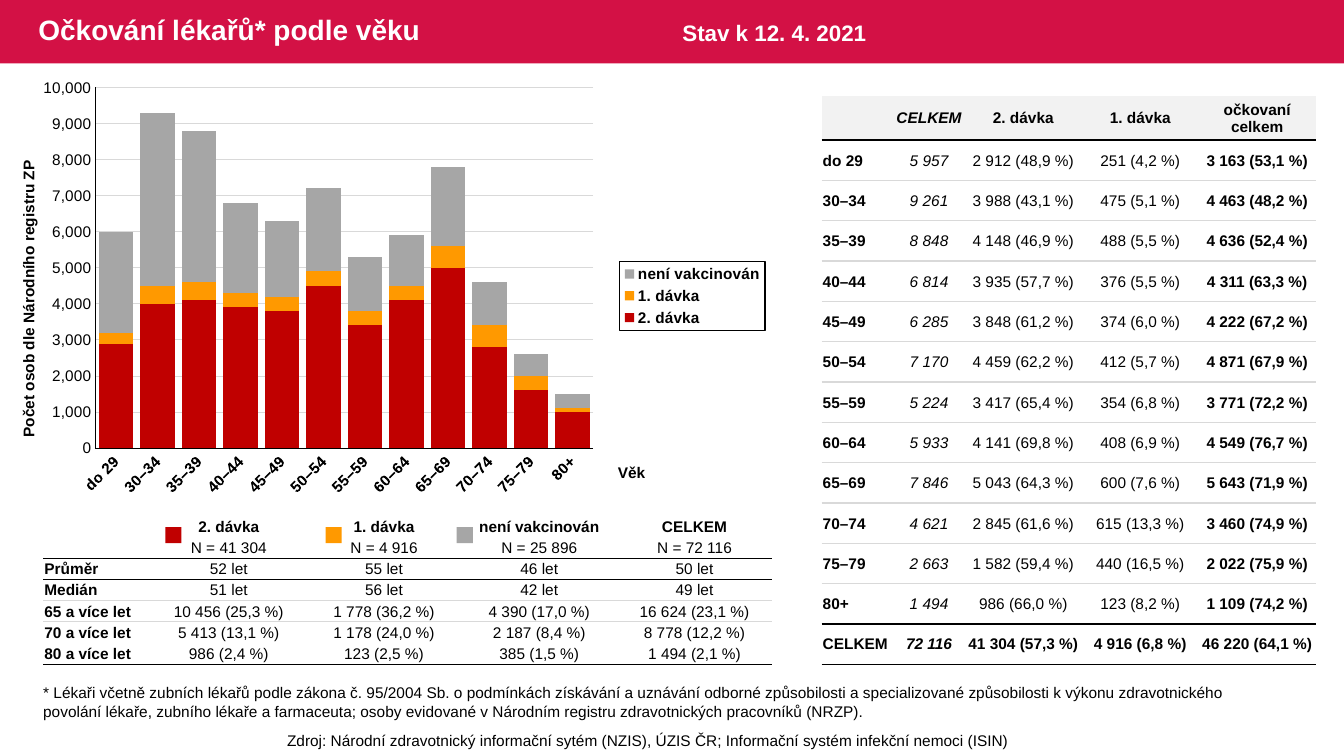
"""Build the slide on vaccination of physicians by age group."""
from dataclasses import dataclass

from lxml import etree
from pptx import Presentation
from pptx.chart.data import CategoryChartData
from pptx.dml.color import RGBColor
from pptx.enum.chart import XL_CHART_TYPE, XL_LEGEND_POSITION, XL_TICK_MARK
from pptx.enum.shapes import MSO_SHAPE
from pptx.enum.text import MSO_ANCHOR, PP_ALIGN
from pptx.oxml import parse_xml
from pptx.oxml.ns import nsdecls, qn
from pptx.util import Inches, Pt


@dataclass(frozen=True)
class Theme:
    font: str = "Arial"
    title: int = 20
    status: int = 16
    body: int = 11
    band: str = "D31145"
    white: str = "FFFFFF"
    black: str = "000000"
    rule: str = "D9D9D9"
    header: str = "F2F2F2"
    second_dose: str = "C00000"
    first_dose: str = "FF9900"
    unvaccinated: str = "A6A6A6"


theme = Theme()


def style(font, size=theme.body, color=theme.black, bold=False, italic=False):
    font.name, font.size = theme.font, Pt(size)
    font.bold, font.italic = bold, italic
    font.color.rgb = RGBColor.from_string(color)


def add_grid(place, widths, heights, rows, rules, bold_rows, bold_columns, italic_columns=()):
    frame = slide.shapes.add_table(len(rows), len(widths), *map(Inches, place))
    grid = frame.table
    grid.first_row = grid.horz_banding = False
    grid._tbl.tblPr.find(qn("a:tableStyleId")).text = "{2D5ABB26-0587-4C30-8999-92F81FD0307C}"
    for column, width in zip(grid.columns, widths):
        column.width = Inches(width)
    for r, (row, height) in enumerate(zip(rows, heights)):
        grid.rows[r].height = Inches(height)
        for c, words in enumerate(row.split("|")):
            cell = grid.cell(r, c)
            cell.margin_left = cell.margin_top = cell.margin_right = Inches(0.01)
            cell.margin_bottom = 0
            cell.vertical_anchor = MSO_ANCHOR.MIDDLE
            paragraph = cell.text_frame.paragraphs[0]
            paragraph.text = words
            paragraph.alignment = PP_ALIGN.CENTER if c else PP_ALIGN.LEFT
            for run in paragraph.runs:
                style(run.font, bold=r in bold_rows or c in bold_columns, italic=c in italic_columns)
            if not words:
                paragraph._p.get_or_add_endParaRPr().set("sz", str(theme.body * 100))
            for side, edge in (("lnT", r), ("lnB", r + 1)):
                if edge in rules:
                    cell._tc.get_or_add_tcPr().append(parse_xml(
                        f'<a:{side} {nsdecls("a")} w="12700"><a:solidFill>'
                        f'<a:srgbClr val="{rules[edge]}"/></a:solidFill></a:{side}>'))
            cell.fill.background()
    return grid


prs = Presentation()
prs.slide_width, prs.slide_height = Inches(13.33), Inches(7.5)
slide = prs.slides.add_slide(prs.slide_layouts[5])

title = slide.shapes.title
title.left, title.top, title.width, title.height = map(Inches, (0.28, 0, 8.13, 0.63))
title.text_frame.text = "Očkování lékařů* podle věku"
title.text_frame.vertical_anchor = MSO_ANCHOR.MIDDLE
heading = title.text_frame.paragraphs[0]
heading.alignment, heading.line_spacing = PP_ALIGN.LEFT, 0.9
style(heading.runs[0].font, theme.title, theme.white, bold=True)

age_groups = ["do 29", "30–34", "35–39", "40–44", "45–49", "50–54",
              "55–59", "60–64", "65–69", "70–74", "75–79", "80+"]
doses = [
    ("2. dávka", theme.second_dose,
     (2900, 4000, 4100, 3900, 3800, 4500, 3400, 4100, 5000, 2800, 1600, 1000)),
    ("1. dávka", theme.first_dose,
     (300, 500, 500, 400, 400, 400, 400, 400, 600, 600, 400, 100)),
    ("není vakcinován", theme.unvaccinated,
     (2800, 4800, 4200, 2500, 2100, 2300, 1500, 1400, 2200, 1200, 600, 400)),
]
counts = CategoryChartData(number_format="#,##0")
counts.categories = age_groups
for name, _, values in doses:
    counts.add_series(name, values)
chart = slide.shapes.add_chart(XL_CHART_TYPE.COLUMN_STACKED, Inches(0.43), Inches(0.75),
                               Inches(7.24), Inches(4.37), counts).chart
chart.has_title = False
style(chart.font, bold=True)
bars = chart.plots[0]
bars.gap_width, bars.overlap, bars.vary_by_categories = 20, 100, False
for series, (_, color, _) in zip(bars.series, doses):
    series.format.fill.solid()
    series.format.fill.fore_color.rgb = RGBColor.from_string(color)

ages, people = chart.category_axis, chart.value_axis
for axis in (ages, people):
    axis.major_tick_mark = axis.minor_tick_mark = XL_TICK_MARK.NONE
    axis.format.line.color.rgb = RGBColor.from_string(theme.black)
    axis.format.line.width = Pt(0.75)
    style(axis.tick_labels.font, bold=axis is ages)
ages._element.find(qn("c:txPr")).find(qn("a:bodyPr")).set("rot", "-2700000")
people.minimum_scale, people.maximum_scale, people.major_unit = 0, 10000, 1000
people.tick_labels.number_format = "#,##0"
people.tick_labels.number_format_is_linked = False
people.major_gridlines.format.line.color.rgb = RGBColor.from_string(theme.rule)
people.major_gridlines.format.line.width = Pt(0.75)

chart.has_legend = True
chart.legend.position = XL_LEGEND_POSITION.RIGHT
chart.legend.include_in_layout = False
style(chart.legend.font, bold=True)
chart.legend._element.find(qn("c:txPr")).addprevious(parse_xml(
    f'<c:spPr {nsdecls("c", "a")}><a:ln w="9525"><a:solidFill>'
    f'<a:srgbClr val="{theme.black}"/></a:solidFill></a:ln></c:spPr>'))

plot_area = chart._chartSpace.chart.plotArea
for old_layout in plot_area.findall(qn("c:layout")):
    plot_area.remove(old_layout)
layout = etree.Element(qn("c:layout"))
manual = etree.SubElement(layout, qn("c:manualLayout"))
for tag, value in (("layoutTarget", "inner"), ("xMode", "edge"), ("yMode", "edge"),
                   ("x", "0.066"), ("y", "0.027"), ("w", "0.686"), ("h", "0.819")):
    etree.SubElement(manual, qn(f"c:{tag}")).set("val", value)
plot_area.insert(0, layout)

captions = [
    ("Zdroj: Národní zdravotnický informační sytém (NZIS), ÚZIS ČR; "
     "Informační systém infekční nemoci (ISIN)",
     (1.9, 7.2, 9.06, 0.29), PP_ALIGN.CENTER, True, 0, {}),
    ("Stav k 12. 4. 2021", (6.67, 0.14, 2.2, 0.37), PP_ALIGN.LEFT, True, 0,
     {"size": theme.status, "color": theme.white, "bold": True}),
    ("* Lékaři včetně zubních lékařů podle zákona č. 95/2004 Sb. o podmínkách získávání a "
     "uznávání odborné způsobilosti a specializované způsobilosti k výkonu zdravotnického "
     "povolání lékaře, zubního lékaře a farmaceuta; osoby evidované v Národním registru "
     "zdravotnických pracovníků (NRZP).",
     (0.33, 6.73, 12.53, 0.47), PP_ALIGN.LEFT, True, 0, {}),
    ("Počet osob dle Národního registru ZP",
     (-1.2, 2.81, 2.97, 0.29), PP_ALIGN.LEFT, False, 270, {"bold": True}),
    ("Věk", (6.03, 4.55, 0.48, 0.29), PP_ALIGN.LEFT, False, 0, {"bold": True}),
]
for words, place, alignment, wraps, rotation, look in captions:
    caption = slide.shapes.add_textbox(*map(Inches, place))
    caption.rotation = rotation
    caption.text_frame.word_wrap = wraps
    caption.text_frame.text = words
    caption.text_frame.paragraphs[0].alignment = alignment
    style(caption.text_frame.paragraphs[0].runs[0].font, **look)

add_grid((0.43, 5.12, 7.24, 1.46), [1.07] + [1.54] * 4, [0.21] * 7, [
    "|2. dávka|1. dávka|není vakcinován|CELKEM",
    "|N = 41 304|N = 4 916|N = 25 896|N = 72 116",
    "Průměr|52 let|55 let|46 let|50 let",
    "Medián|51 let|56 let|42 let|49 let",
    "65 a více let|10 456 (25,3 %)|1 778 (36,2 %)|4 390 (17,0 %)|16 624 (23,1 %)",
    "70 a více let|5 413 (13,1 %)|1 178 (24,0 %)|2 187 (8,4 %)|8 778 (12,2 %)",
    "80 a více let|986 (2,4 %)|123 (2,5 %)|385 (1,5 %)|1 494 (2,1 %)",
], {2: theme.black, 4: theme.rule, 7: theme.black}, {0}, {0})

coverage = [
    "5 957|2 912 (48,9 %)|251 (4,2 %)|3 163 (53,1 %)",
    "9 261|3 988 (43,1 %)|475 (5,1 %)|4 463 (48,2 %)",
    "8 848|4 148 (46,9 %)|488 (5,5 %)|4 636 (52,4 %)",
    "6 814|3 935 (57,7 %)|376 (5,5 %)|4 311 (63,3 %)",
    "6 285|3 848 (61,2 %)|374 (6,0 %)|4 222 (67,2 %)",
    "7 170|4 459 (62,2 %)|412 (5,7 %)|4 871 (67,9 %)",
    "5 224|3 417 (65,4 %)|354 (6,8 %)|3 771 (72,2 %)",
    "5 933|4 141 (69,8 %)|408 (6,9 %)|4 549 (76,7 %)",
    "7 846|5 043 (64,3 %)|600 (7,6 %)|5 643 (71,9 %)",
    "4 621|2 845 (61,6 %)|615 (13,3 %)|3 460 (74,9 %)",
    "2 663|1 582 (59,4 %)|440 (16,5 %)|2 022 (75,9 %)",
    "1 494|986 (66,0 %)|123 (8,2 %)|1 109 (74,2 %)",
]
age_rows = [f"{age}|{figures}" for age, figures in zip(age_groups, coverage)]
age_rules = {edge: theme.rule for edge in range(2, 13)} | dict.fromkeys((1, 13, 14), theme.black)
age_table = add_grid(
    (8.15, 0.95, 4.91, 5.62), [0.71] * 2 + [1.16] * 3, [0.44] + [0.4] * 13,
    ["|CELKEM|2. dávka|1. dávka|očkovaní celkem", *age_rows,
     "CELKEM|72 116|41 304 (57,3 %)|4 916 (6,8 %)|46 220 (64,1 %)"],
    age_rules, {0, 13}, {0, 4}, {1})
for cell in age_table.rows[0].cells:
    cell.fill.solid()
    cell.fill.fore_color.rgb = RGBColor.from_string(theme.header)

blocks = [((0, 0, 13.33, 0.63), theme.band)]
blocks += [((left, 5.23, 0.16, 0.16), color)
           for left, (_, color, _) in zip((1.64, 3.23, 4.53), doses)]
for place, color in blocks:
    block = slide.shapes.add_shape(MSO_SHAPE.RECTANGLE, *map(Inches, place))
    block.shadow.inherit = False
    block.fill.solid()
    block.fill.fore_color.rgb = RGBColor.from_string(color)
    block.line.fill.background()
    if color == theme.band:
        slide.shapes._spTree.insert(2, block._element)

prs.save("out.pptx")
